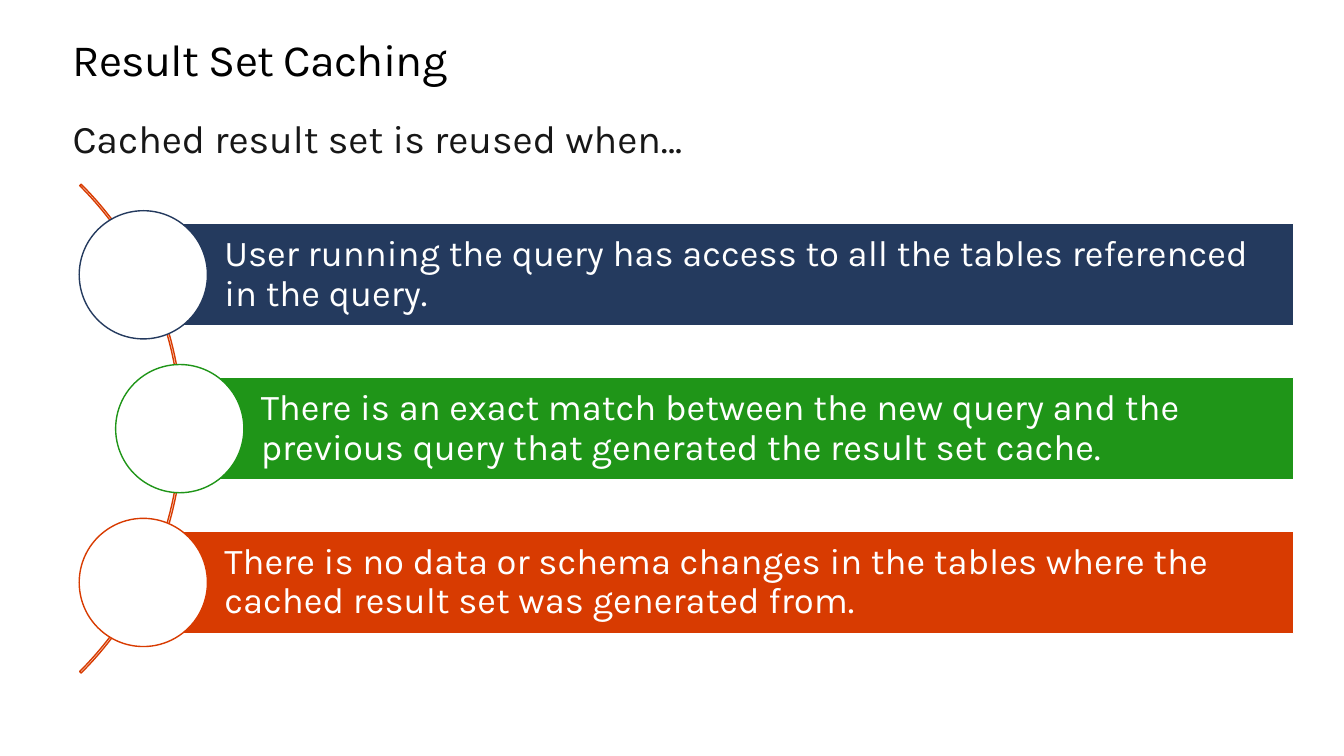
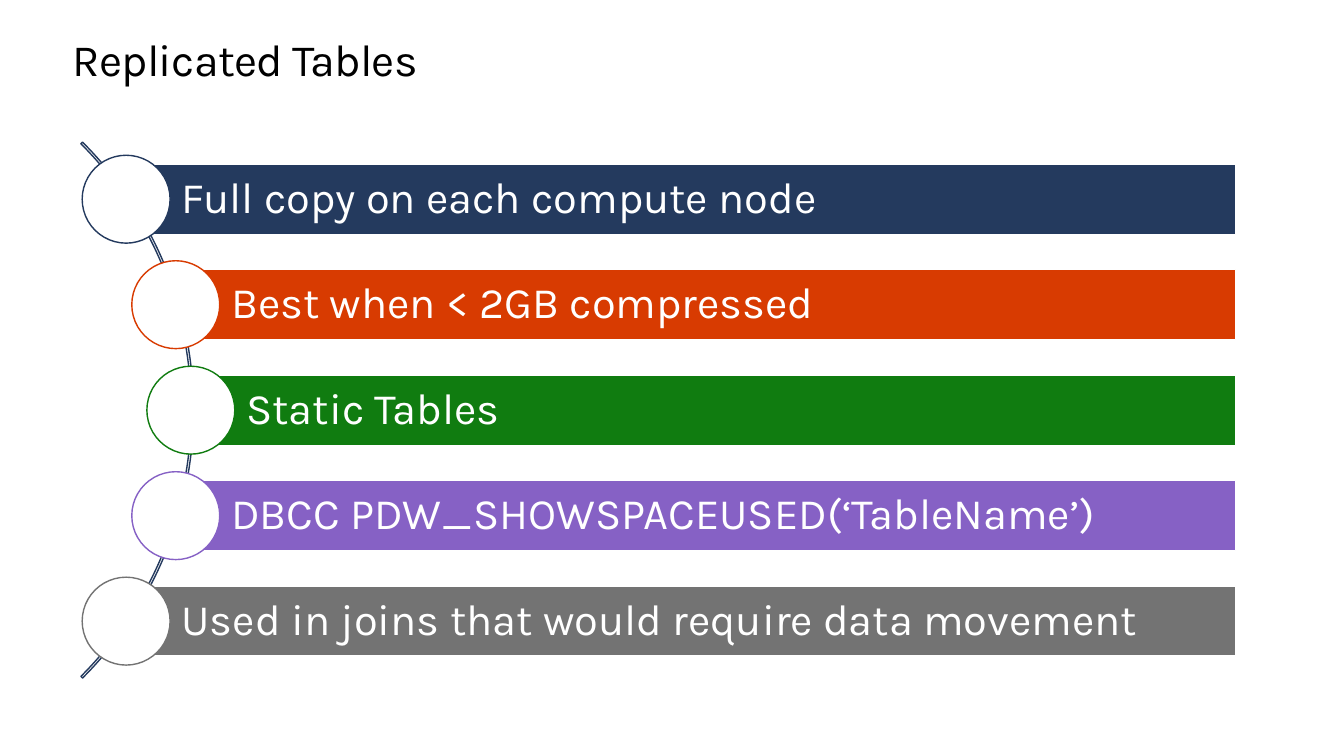
import math
from dataclasses import dataclass

import pptx
import pptx.dml.color
import pptx.enum.shapes
import pptx.enum.text
import pptx.util

Anchor = pptx.enum.text.MSO_ANCHOR
Preset = pptx.enum.shapes.MSO_SHAPE


@dataclass(frozen=True)
class Theme:
    font: str = "Karla"
    paper: str = "FFFFFF"
    title_ink: str = "000000"
    body_ink: str = "171717"
    navy: str = "243A5E"
    orange: str = "D83B01"
    bright_green: str = "1F9518"
    green: str = "107C10"
    purple: str = "8661C5"
    gray: str = "737373"
    title_size: int = 32
    title_leading: float = 36.2
    title_tracking: int = -50
    body_size: int = 28
    bar_leading: float = 0.9
    line_width: int = 1


@dataclass(frozen=True)
class Area:
    column: float
    row: float
    columns: float
    rows: float


@dataclass(frozen=True)
class Step:
    text: str
    color: str


@dataclass(frozen=True)
class Curve:
    column: float
    row: float
    radius: float
    pitch: float
    bar_end: float
    color: str
    text_size: int
    steps: tuple[Step, ...]


@dataclass(frozen=True)
class Page:
    title: str
    curve: Curve
    lead: str = ""


THEME = Theme()
GRID_COLUMNS = 40
SLIDE_WIDTH = pptx.util.Inches(13.33)
SLIDE_HEIGHT = pptx.util.Inches(7.5)
CELL = SLIDE_WIDTH / GRID_COLUMNS
TITLE_AREA = Area(2.16, 1.05, 35.7, 1.5)
LEAD_AREA = Area(2.16, 3.39, 35.7, 2.58)
NODE_INSET = 0.08
PITCH_PER_NODE = 1.2
BAR_PER_NODE = 0.8
TEXT_INDENT = 0.79
MARGIN_EMS = 0.2
ARC_ADJUSTMENTS = (189, 27, 0.003)

PAGES = (
    Page(
        "Result Set Caching",
        Curve(-4.86, 12.76, 10.29, 4.58, 38.5, THEME.orange, 26, (
            Step("User running the query has access to all the tables "
                 "referenced in the query.", THEME.navy),
            Step("There is an exact match between the new query and the "
                 "previous query that generated the result set cache.",
                 THEME.bright_green),
            Step("There is no data or schema changes in the tables where the "
                 "cached result set was generated from.", THEME.orange),
        )),
        "Cached result set is reused when…",
    ),
    Page(
        "Replicated Tables",
        Curve(-5.52, 12.21, 11.28, 3.14, 36.77, THEME.navy, 31, (
            Step("Full copy on each compute node", THEME.navy),
            Step("Best when < 2GB compressed", THEME.orange),
            Step("Static Tables", THEME.green),
            Step("DBCC PDW_SHOWSPACEUSED(‘TableName’)", THEME.purple),
            Step("Used in joins that would require data movement", THEME.gray),
        )),
    ),
)


def rgb(color: str) -> pptx.dml.color.RGBColor:
    return pptx.dml.color.RGBColor.from_string(color)


def place(area: Area) -> tuple[int, ...]:
    return tuple(round(cells * CELL) for cells in
                 (area.column, area.row, area.columns, area.rows))


def square(column: float, row: float, radius: float) -> Area:
    return Area(column - radius, row - radius, 2 * radius, 2 * radius)


def write(shape, text: str, size: int, color: str, anchor=Anchor.TOP,
          margin: int = 0, indent: int = 0):
    frame = shape.text_frame
    frame.word_wrap = True
    frame.vertical_anchor = anchor
    frame.margin_left = indent
    frame.margin_top = frame.margin_right = frame.margin_bottom = margin
    para = frame.paragraphs[0]
    para.alignment = pptx.enum.text.PP_ALIGN.LEFT
    para.font.name = THEME.font
    para.font.size = pptx.util.Pt(size)
    para.font.color.rgb = rgb(color)
    para.add_run().text = text
    return para


def add_outlined(slide, preset, area: Area, line: str, fill: str = ""):
    shape = slide.shapes.add_shape(preset, *place(area))
    shape.shadow.inherit = False
    shape.line.color.rgb = rgb(line)
    shape.line.width = pptx.util.Pt(THEME.line_width)
    if fill:
        shape.fill.solid()
        shape.fill.fore_color.rgb = rgb(fill)
    else:
        shape.fill.background()
    return shape


def add_title(slide, text: str) -> None:
    box = slide.shapes.add_textbox(*place(TITLE_AREA))
    para = write(box, text, THEME.title_size, THEME.title_ink)
    para.line_spacing = pptx.util.Pt(THEME.title_leading)
    span = para.runs[0]
    span._r.get_or_add_rPr().set("spc", str(THEME.title_tracking))


def add_curve(slide, curve: Curve) -> None:
    arc = add_outlined(slide, Preset.BLOCK_ARC,
                       square(curve.column, curve.row, curve.radius), curve.color)
    for index, value in enumerate(ARC_ADJUSTMENTS):
        arc.adjustments[index] = value

    node = curve.pitch / PITCH_PER_NODE
    bar_rows = node * BAR_PER_NODE
    margin = pptx.util.Pt(curve.text_size * MARGIN_EMS)
    indent = round(bar_rows * TEXT_INDENT * CELL)
    middle = (len(curve.steps) - 1) / 2
    for index, step in enumerate(curve.steps):
        drop = (index - middle) * curve.pitch
        reach = math.sqrt((curve.radius - NODE_INSET) ** 2 - drop ** 2)
        column, row = curve.column + reach, curve.row + drop
        bar_area = Area(column, row - bar_rows / 2, curve.bar_end - column, bar_rows)
        bar = add_outlined(slide, Preset.RECTANGLE, bar_area, THEME.paper, step.color)
        para = write(bar, step.text, curve.text_size, THEME.paper,
                     Anchor.MIDDLE, margin, indent)
        para.line_spacing = THEME.bar_leading
        add_outlined(slide, Preset.OVAL, square(column, row, node / 2),
                     step.color, THEME.paper)


def add_page(deck, page: Page) -> None:
    slide = deck.slides.add_slide(deck.slide_layouts[6])
    slide.background.fill.solid()
    slide.background.fill.fore_color.rgb = rgb(THEME.paper)
    add_title(slide, page.title)
    if page.lead:
        box = slide.shapes.add_textbox(*place(LEAD_AREA))
        write(box, page.lead, THEME.body_size, THEME.body_ink)
    add_curve(slide, page.curve)


def main() -> None:
    deck = pptx.Presentation()
    deck.slide_width = SLIDE_WIDTH
    deck.slide_height = SLIDE_HEIGHT
    for page in PAGES:
        add_page(deck, page)
    deck.save("out.pptx")


if __name__ == "__main__":
    main()
